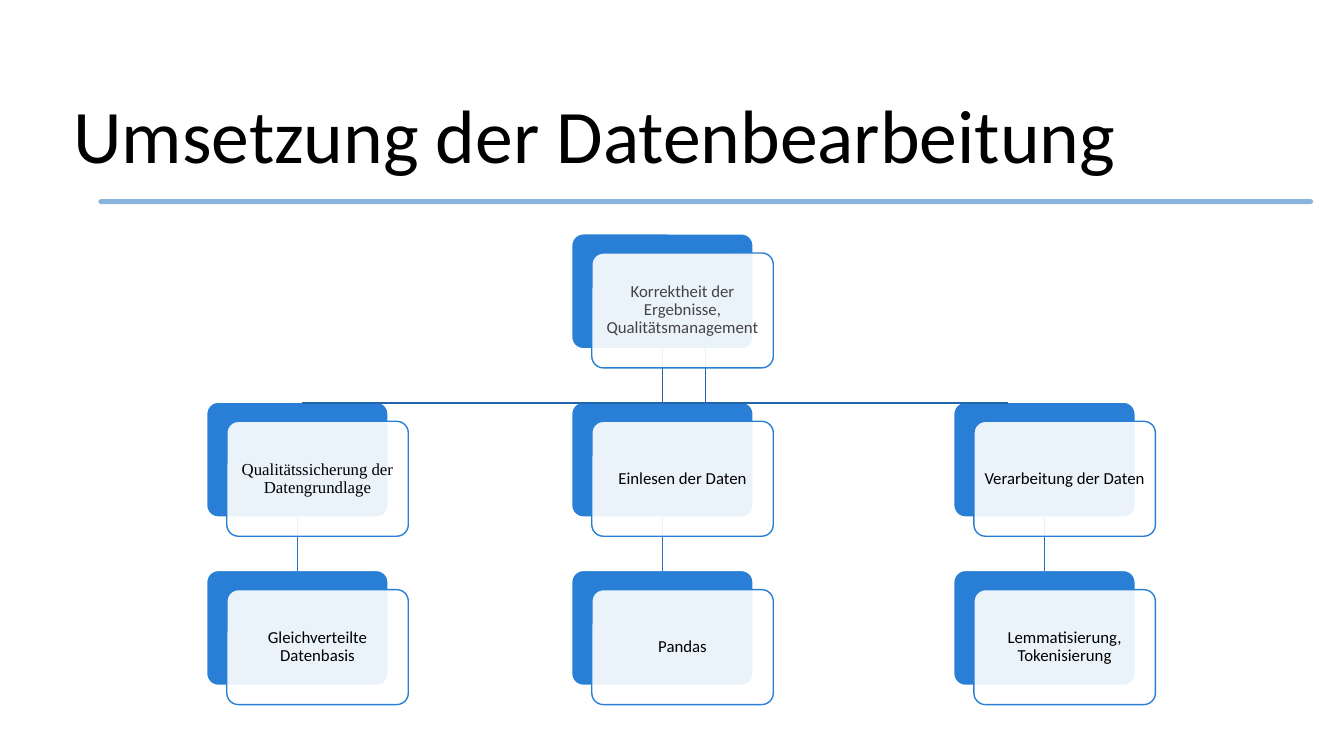
from dataclasses import dataclass
from math import sin

from pptx import Presentation
from pptx.dml.color import RGBColor as RGB
from pptx.enum.shapes import MSO_CONNECTOR as CONN, MSO_SHAPE as SHAPE
from pptx.enum.text import MSO_ANCHOR as ANCHOR, PP_ALIGN as ALIGN
from pptx.oxml.xmlchemy import OxmlElement
from pptx.util import Inches, Pt


@dataclass(frozen=True)
class Theme:
    white: str = "FFFFFF"
    black: str = "000000"
    grey: str = "444444"
    box: str = "297FD5"
    brush: str = "629DD1"
    upper_link: str = "2166AB"
    lower_link: str = "2573C1"
    font: str = "Calibri"
    serif: str = "Times New Roman"
    title_size: float = 54
    box_size: float = 12


# Grid of the chart, in inches
COLUMNS = (2.05, 5.67, 9.46)
TOP, ROW_STEP = 2.32, 1.67
BOX_W, BOX_H = 1.8, 1.14
SHIFT_X, SHIFT_Y = 0.2, 0.19
BEND_Y = 3.82


def set_alpha(fill, percent):
    alpha = OxmlElement("a:alpha")
    alpha.set("val", str(percent * 1000))
    fill._xPr.find(".//{*}srgbClr").append(alpha)


class TreeSlide:
    def __init__(self, prs, theme):
        self.theme = theme
        self.shapes = prs.slides.add_slide(prs.slide_layouts[6]).shapes

    def paint(self, sp, fill, line, width=1):
        sp.shadow.inherit = False
        if fill:
            sp.fill.solid()
            sp.fill.fore_color.rgb = RGB.from_string(fill)
        else:
            sp.fill.background()
        sp.line.color.rgb = RGB.from_string(line)
        sp.line.width = Pt(width)

    def label(self, sp, text, size, color, font, anchor, align):
        tf = sp.text_frame
        tf.word_wrap = True
        tf.text = text
        tf.vertical_anchor = anchor
        p = tf.paragraphs[0]
        p.alignment = align
        p.line_spacing = 0.9
        f = p.runs[0].font
        f.size, f.name = Pt(size), font
        f.color.rgb = RGB.from_string(color)

    def title(self, text):
        t = self.theme
        sp = self.shapes.add_textbox(Inches(0.63), Inches(0.26), Inches(12.05), Inches(1.57))
        self.label(sp, text, t.title_size, t.black, t.font, ANCHOR.BOTTOM, ALIGN.LEFT)

    def outline(self, points, close):
        builder = self.shapes.build_freeform(*points[0], scale=Inches(1))
        builder.add_line_segments(points[1:], close=close)
        return builder.convert_to_shape()

    def brush_stroke(self, left, right, y, steps=120):
        xs = [left + (right - left) * i / steps for i in range(steps + 1)]
        upper = [(x, y + 0.01 * (sin(4.3 * x) + sin(2.7 * x + 1))) for x in xs]
        lower = [(x, y + 0.02 + 0.01 * (sin(3.7 * x + 2) + sin(5.9 * x))) for x in xs]
        sp = self.outline(upper + lower[::-1], True)
        self.paint(sp, self.theme.brush, self.theme.brush, 3.5)
        set_alpha(sp.fill, 75)
        set_alpha(sp.line.fill, 75)

    def rounded(self, x, y, fill, line):
        sp = self.shapes.add_shape(SHAPE.ROUNDED_RECTANGLE, Inches(x), Inches(y),
                                   Inches(BOX_W), Inches(BOX_H))
        sp.adjustments[0] = 0.1
        self.paint(sp, fill, line)
        return sp

    def back(self, col, row):
        return self.rounded(COLUMNS[col], TOP + row * ROW_STEP, self.theme.box, self.theme.white)

    def front(self, col, row, text, color, font):
        t = self.theme
        sp = self.rounded(COLUMNS[col] + SHIFT_X, TOP + row * ROW_STEP + SHIFT_Y, t.white, t.box)
        set_alpha(sp.fill, 90)
        tf = sp.text_frame
        tf.margin_left = tf.margin_right = Inches(0.04)
        self.label(sp, text, t.box_size, color, font, ANCHOR.MIDDLE, ALIGN.CENTER)

    def link(self, parent, child, color):
        c = self.shapes.add_connector(CONN.STRAIGHT, 0, 0, 0, 0)
        c.begin_connect(parent, 2)
        c.end_connect(child, 0)
        c.line.color.rgb = RGB.from_string(color)
        c.line.width = Pt(1)
        c._element.spPr.append(OxmlElement("a:effectLst"))

    def branch(self, parent_col, child_col):
        start, end = (COLUMNS[c] + BOX_W / 2 for c in (parent_col, child_col))
        points = [(start, TOP + BOX_H), (start, BEND_Y), (end, BEND_Y), (end, TOP + ROW_STEP)]
        self.paint(self.outline(points, False), None, self.theme.upper_link)


def main():
    prs = Presentation()
    prs.slide_width, prs.slide_height = Inches(13.33), Inches(7.5)
    theme = Theme()
    slide = TreeSlide(prs, theme)

    # Heading
    slide.title("Umsetzung der Datenbearbeitung")
    slide.brush_stroke(0.63, 12.63, 1.84)

    # Boxes: (column, row) -> text, colour, font
    boxes = {
        (1, 0): ("Korrektheit der Ergebnisse, Qualitätsmanagement", theme.grey, theme.font),
        (0, 1): ("Qualitätssicherung der Datengrundlage", theme.black, theme.serif),
        (0, 2): ("Gleichverteilte Datenbasis", theme.black, theme.font),
        (1, 1): ("Einlesen der Daten", theme.black, theme.font),
        (1, 2): ("Pandas", theme.black, theme.font),
        (2, 1): ("Verarbeitung der Daten", theme.black, theme.font),
        (2, 2): ("Lemmatisierung, Tokenisierung", theme.black, theme.font),
    }
    backs = {cell: slide.back(*cell) for cell in boxes}

    # Links lie between the back and front boxes
    for col in (0, 2):
        slide.branch(1, col)
    slide.link(backs[1, 0], backs[1, 1], theme.upper_link)
    for col in range(len(COLUMNS)):
        slide.link(backs[col, 1], backs[col, 2], theme.lower_link)

    for cell, content in boxes.items():
        slide.front(*cell, *content)

    prs.save("out.pptx")


if __name__ == "__main__":
    main()
